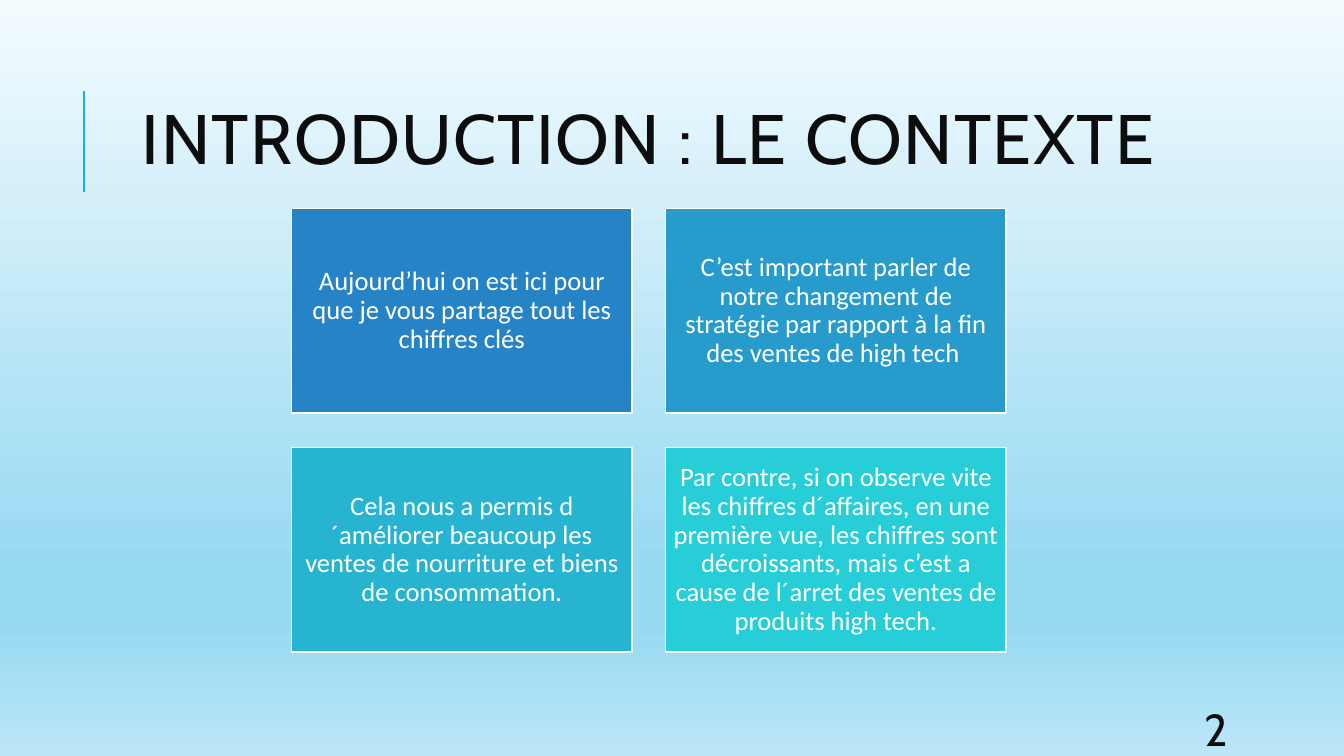
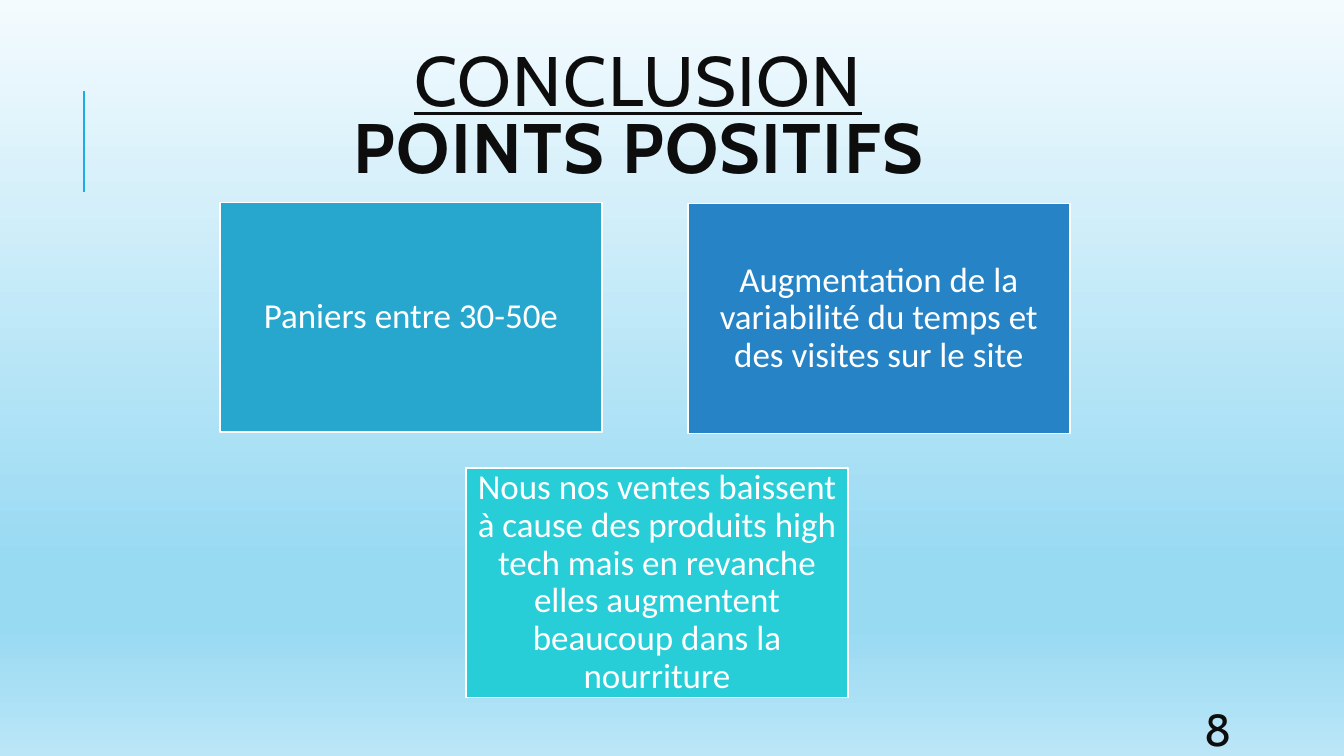
import pptx
import pptx.util
import pptx.dml.color
import pptx.enum.shapes
import pptx.enum.text
import pptx.oxml.ns
import lxml.etree

PX = 9144
INK = {
    "text": "0D0D0D", "white": "FFFFFF", "rule": "1CADE4",
    "blue": "2683C6", "azure": "269BCC", "sky": "27A7CE",
    "teal": "27B4D1", "aqua": "27CED7",
}
FADE = [(0, "F4FBFE"), (74, "99DAF3"), (83, "99DAF3"), (100, "BBE6F7")]
qn = pptx.oxml.ns.qn
Align = pptx.enum.text.PP_ALIGN


def frame(shape, inset, side, space):
    box = shape.text_frame
    box.word_wrap = True
    box.auto_size = pptx.enum.text.MSO_AUTO_SIZE.NONE
    box.vertical_anchor = pptx.enum.text.MSO_ANCHOR.MIDDLE
    box.margin_left = box.margin_right = inset * PX
    box.margin_top = box.margin_bottom = min(inset, 10) * PX
    para = box.paragraphs[0]
    para.alignment = side
    para.line_spacing = space
    return para


def write(para, text, face, size, ink):
    run = para.add_run()
    run.text = text
    run.font.name = face
    run.font.size = pptx.util.Pt(size)
    run.font.color.rgb = pptx.dml.color.RGBColor.from_string(INK[ink])
    return run


first = [
    ("blue", "Aujourd’hui on est ici pour que je vous partage tout les chiffres clés"),
    ("azure", "C’est important parler de notre changement de stratégie par rapport à la fin des ventes de high tech "),
    ("teal", "Cela nous a permis d´améliorer beaucoup les ventes de nourriture et biens de consommation."),
    ("aqua", "Par contre, si on observe vite les chiffres d´affaires, en une première vue, les chiffres sont décroissants, mais c’est a cause de l´arret des ventes de produits high tech."),
]
grid = [
    (289 + 371 * (i % 2), 207 + 237 * (i // 2), ink, text)
    for i, (ink, text) in enumerate(first)
]
trio = [
    (682, 202, "blue", "Augmentation de la variabilité du temps et des visites sur le site"),
    (218, 201, "sky", "Paniers entre 30-50e"),
    (462, 464, "aqua", "Nous nos ventes baissent à cause des produits high tech mais en revanche elles augmentent beaucoup dans la nourriture"),
]
pages = [
    {"num": "2", "spot": (112, 61), "size": (338, 203), "inset": 8, "font": 19,
     "title": [("INTRODUCTION : LE CONTEXTE", False, False)], "cards": grid},
    {"num": "8", "spot": (102, 37), "size": (379, 228), "inset": 10, "font": 25,
     "title": [("CONCLUSION", True, False), ("POINTS POSITIFS", False, True)],
     "cards": trio},
]

deck = pptx.Presentation()
deck.slide_width = 1333 * PX
deck.slide_height = 750 * PX

back = deck.slide_master.background.fill
back.gradient()
back.gradient_angle = 270
stops = deck.slide_master.element.find(".//" + qn("p:bg") + "//" + qn("a:gsLst"))
for old in list(stops):
    stops.remove(old)
for pos, tone in FADE:
    stop = lxml.etree.SubElement(stops, qn("a:gs"), pos=str(pos * 1000))
    lxml.etree.SubElement(stop, qn("a:srgbClr"), val=tone)

for page in pages:
    slide = deck.slides.add_slide(deck.slide_layouts[5])

    rule = slide.shapes.add_connector(
        pptx.enum.shapes.MSO_CONNECTOR.STRAIGHT, 83 * PX, 190 * PX, 83 * PX, 90 * PX)
    rule.line.color.rgb = pptx.dml.color.RGBColor.from_string(INK["rule"])
    rule.line.width = pptx.util.Pt(1.5)
    lxml.etree.SubElement(rule.element.spPr, qn("a:effectLst"))

    title = slide.shapes.title
    title.left, title.top = [n * PX for n in page["spot"]]
    title.width, title.height = 1063 * PX, 164 * PX
    para = frame(title, 10, Align.CENTER, 0.8)
    for i, (text, under, bold) in enumerate(page["title"]):
        if i:
            para.add_line_break()
        run = write(para, text, "Cabin", 50, "text")
        run.font.underline = under
        run.font.bold = bold
        run.font._element.set("spc", "100")

    wide, high = page["size"]
    for left, top, ink, text in page["cards"]:
        card = slide.shapes.add_shape(
            pptx.enum.shapes.MSO_SHAPE.RECTANGLE,
            left * PX, top * PX, wide * PX, high * PX)
        card.shadow.inherit = False
        card.fill.solid()
        card.fill.fore_color.rgb = pptx.dml.color.RGBColor.from_string(INK[ink])
        card.line.color.rgb = pptx.dml.color.RGBColor.from_string(INK["white"])
        card.line.width = pptx.util.Pt(1.25)
        para = frame(card, page["inset"], Align.CENTER, 0.9)
        write(para, text, "Calibri", page["font"], "white")

    num = slide.shapes.add_textbox(1185 * PX, 708 * PX, 106 * PX, 30 * PX)
    para = frame(num, 10, Align.LEFT, 1.0)
    write(para, page["num"], "Cabin", 32, "text")

deck.save("out.pptx")
